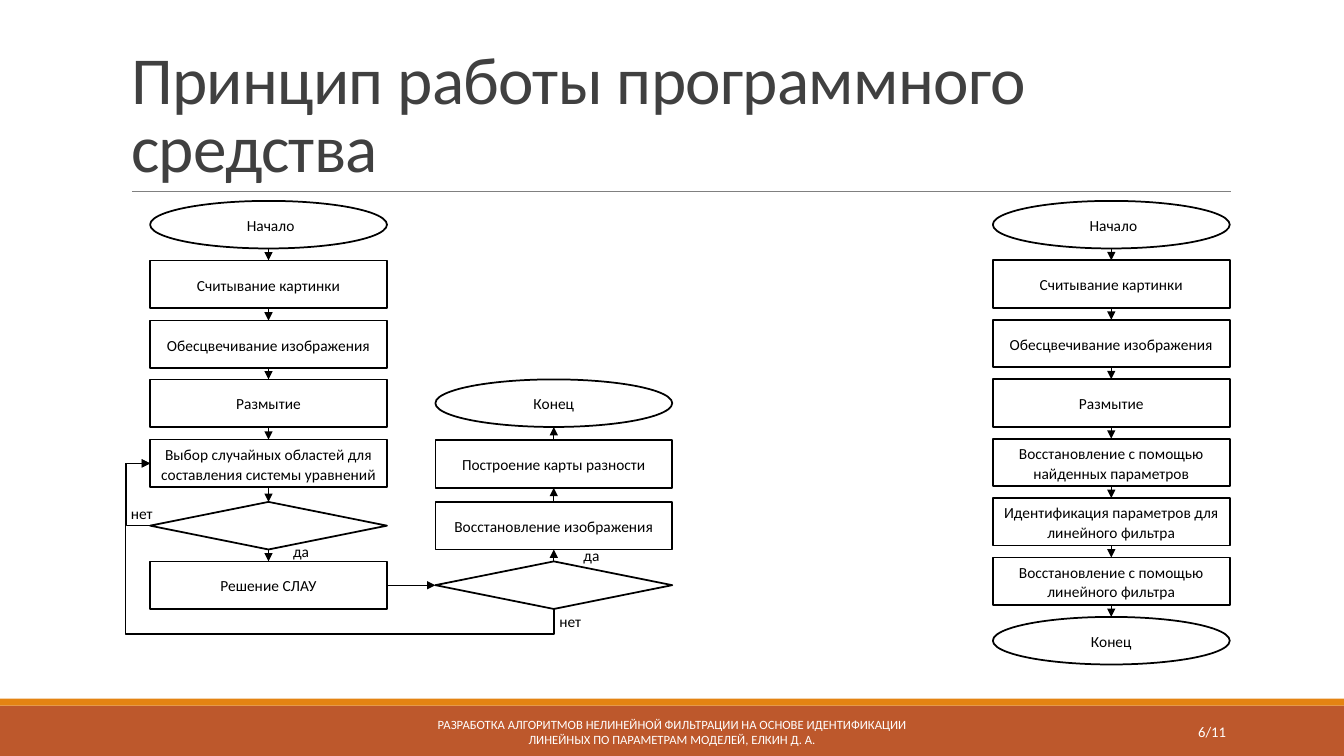
from lxml.etree import SubElement
from pptx import Presentation
from pptx.dml.color import RGBColor
from pptx.enum.shapes import MSO_CONNECTOR as LINK, MSO_SHAPE as SHAPE
from pptx.enum.text import MSO_ANCHOR as ANCHOR, MSO_AUTO_SIZE as FIT, PP_ALIGN as ALIGN
from pptx.oxml.ns import qn
from pptx.util import Pt

NODE_WIDTH, NODE_HEIGHT = 169.2, 34
TOP, LEFT, BOTTOM, RIGHT = range(4)
FIRST_LEFT, SECOND_LEFT, THIRD_LEFT = 107.2, 311, 709.2
FIRST_TOP = 143.5
THIRD_STEP = 42.45

COMMON_STEPS = [
    (SHAPE.OVAL, "Начало"),
    (SHAPE.RECTANGLE, "Считывание картинки"),
    (SHAPE.RECTANGLE, "Обесцвечивание изображения"),
    (SHAPE.RECTANGLE, "Размытие"),
]
FIRST_STEPS = COMMON_STEPS + [
    (SHAPE.RECTANGLE, "Выбор случайных областей для составления системы уравнений"),
    (SHAPE.DIAMOND, ""),
    (SHAPE.RECTANGLE, "Решение СЛАУ"),
]
FIRST_TOPS = [FIRST_TOP, 186, 229, 271, 314, 358.5, 401]
SECOND_STEPS = [
    (SHAPE.DIAMOND, ""),
    (SHAPE.RECTANGLE, "Восстановление изображения"),
    (SHAPE.RECTANGLE, "Построение карты разности"),
    (SHAPE.OVAL, "Конец"),
]
SECOND_TOPS = [401, 358.5, 314.5, 271]
THIRD_STEPS = COMMON_STEPS + [
    (SHAPE.RECTANGLE, "Восстановление с помощью найденных параметров"),
    (SHAPE.RECTANGLE, "Идентификация параметров для линейного фильтра"),
    (SHAPE.RECTANGLE, "Восстановление с помощью линейного фильтра"),
    (SHAPE.OVAL, "Конец"),
]
THIRD_TOPS = [FIRST_TOP + THIRD_STEP * row for row in range(len(THIRD_STEPS))]


def color(value):
    return RGBColor.from_string(value)


def place(left, top, width, height):
    return Pt(left), Pt(top), Pt(width), Pt(height)


def write(box, text, size, font_color="000000", align=ALIGN.LEFT):
    para = box.text_frame.paragraphs[0]
    para.alignment = align
    span = para.add_run()
    span.text = text
    span.font.name = "Calibri"
    span.font.size = Pt(size)
    span.font.color.rgb = color(font_color)
    return para


def add_title(slide, text):
    title = slide.shapes.title
    title.left, title.top, title.width, title.height = place(86.4, 22.3, 792, 114.5)
    title.text_frame.auto_size = FIT.NONE
    title.text_frame.vertical_anchor = ANCHOR.BOTTOM
    para = write(title, text, 48, "404040")
    para.line_spacing = 0.85
    para.runs[0].font._element.set("spc", "-50")


def add_band(slide, top, height, fill):
    band = slide.shapes.add_shape(SHAPE.RECTANGLE, *place(0, top, 960, height))
    band.shadow.inherit = False
    band.fill.solid()
    band.fill.fore_color.rgb = color(fill)
    band.line.fill.background()


def add_footer(slide, left, width, text, size, align):
    box = slide.shapes.add_textbox(*place(left, 508.3, width, 28.8))
    box.text_frame.word_wrap = True
    box.text_frame.vertical_anchor = ANCHOR.MIDDLE
    write(box, text, size, "FFFFFF", align)


def add_label(slide, left, top, width, text):
    box = slide.shapes.add_textbox(*place(left, top, width, 20.9))
    box.text_frame.word_wrap = False
    write(box, text, 11)


def add_node(slide, kind, left, top, text):
    node = slide.shapes.add_shape(kind, *place(left, top, NODE_WIDTH, NODE_HEIGHT))
    node.shadow.inherit = False
    node.fill.solid()
    node.fill.fore_color.rgb = color("FFFFFF")
    node.line.color.rgb = color("000000")
    node.line.width = Pt(1.25)
    if text:
        frame = node.text_frame
        frame.word_wrap = True
        frame.vertical_anchor = ANCHOR.MIDDLE
        frame.margin_left = frame.margin_right = Pt(5)
        para = write(node, text, 11, align=ALIGN.CENTER)
        para.line_spacing = 1.07
        para.space_after = Pt(8)
    return node


def style_line(line_shape, line_color="000000", width=1, arrowhead=True):
    line_shape.line.color.rgb = color(line_color)
    line_shape.line.width = Pt(width)
    properties = line_shape._element.spPr
    if arrowhead:
        SubElement(properties.find(qn("a:ln")), qn("a:tailEnd"), type="triangle")
    SubElement(properties, qn("a:effectLst"))


def side_point(node, side):
    x = node.left + {LEFT: 0, RIGHT: node.width}.get(side, node.width // 2)
    y = node.top + {TOP: 0, BOTTOM: node.height}.get(side, node.height // 2)
    return x, y


def add_arrow(slide, source, source_side, target, target_side):
    arrow = slide.shapes.add_connector(
        LINK.STRAIGHT, *side_point(source, source_side), *side_point(target, target_side))
    if source.auto_shape_type != SHAPE.OVAL:
        arrow.begin_connect(source, source_side)
    if target.auto_shape_type != SHAPE.OVAL:
        arrow.end_connect(target, target_side)
    style_line(arrow)


def add_chain(slide, left, tops, steps, source_side, target_side):
    nodes = [add_node(slide, kind, left, top, text)
             for top, (kind, text) in zip(tops, steps)]
    for source, target in zip(nodes, nodes[1:]):
        add_arrow(slide, source, source_side, target, target_side)
    return nodes


def add_return(slide, points):
    builder = slide.shapes.build_freeform(*points[0])
    builder.add_line_segments(points[1:], close=False)
    route = builder.convert_to_shape()
    route.fill.background()
    style_line(route)


def main():
    deck = Presentation()
    deck.slide_width, deck.slide_height = Pt(960), Pt(540)
    slide = deck.slides.add_slide(deck.slide_layouts[5])

    add_band(slide, 504, 36, "BD582C")
    add_band(slide, 499, 5, "E48312")
    rule = slide.shapes.add_connector(LINK.STRAIGHT, Pt(94.3), Pt(136.8), Pt(879), Pt(136.8))
    style_line(rule, "808080", 0.5, arrowhead=False)
    add_title(slide, "Принцип работы программного средства")
    add_footer(slide, 779.8, 103, "6/11", 10.5, ALIGN.RIGHT)
    add_footer(slide, 290.2, 379.4,
               "РАЗРАБОТКА АЛГОРИТМОВ НЕЛИНЕЙНОЙ ФИЛЬТРАЦИИ НА ОСНОВЕ ИДЕНТИФИКАЦИИ "
               "ЛИНЕЙНЫХ ПО ПАРАМЕТРАМ МОДЕЛЕЙ, ЕЛКИН Д. А.", 9, ALIGN.CENTER)

    first = add_chain(slide, FIRST_LEFT, FIRST_TOPS, FIRST_STEPS, BOTTOM, TOP)
    second = add_chain(slide, SECOND_LEFT, SECOND_TOPS, SECOND_STEPS, TOP, BOTTOM)
    third = add_chain(slide, THIRD_LEFT, THIRD_TOPS, THIRD_STEPS, BOTTOM, TOP)
    for start in (first[0], third[0]):
        start.text_frame.margin_left = Pt(8)

    selection, area_check, solution = first[4:]
    result_check = second[0]
    add_arrow(slide, solution, RIGHT, result_check, LEFT)

    entry = side_point(selection, LEFT)
    area_exit = side_point(area_check, LEFT)
    add_return(slide, [area_exit, (Pt(90.5), area_exit[1]), (Pt(90.5), entry[1]), entry])
    result_exit = side_point(result_check, BOTTOM)
    add_return(slide, [result_exit, (result_exit[0], Pt(453)), (Pt(89.5), Pt(453)),
                       (Pt(89.5), entry[1]), entry])

    add_label(slide, 392.4, 433.4, 30.2, "нет")
    add_label(slide, 86.4, 356.4, 30.2, "нет")
    add_label(slide, 202.3, 383.8, 25.9, "да")
    add_label(slide, 409.7, 386.6, 25.9, "да")
    deck.save("out.pptx")


if __name__ == "__main__":
    main()
